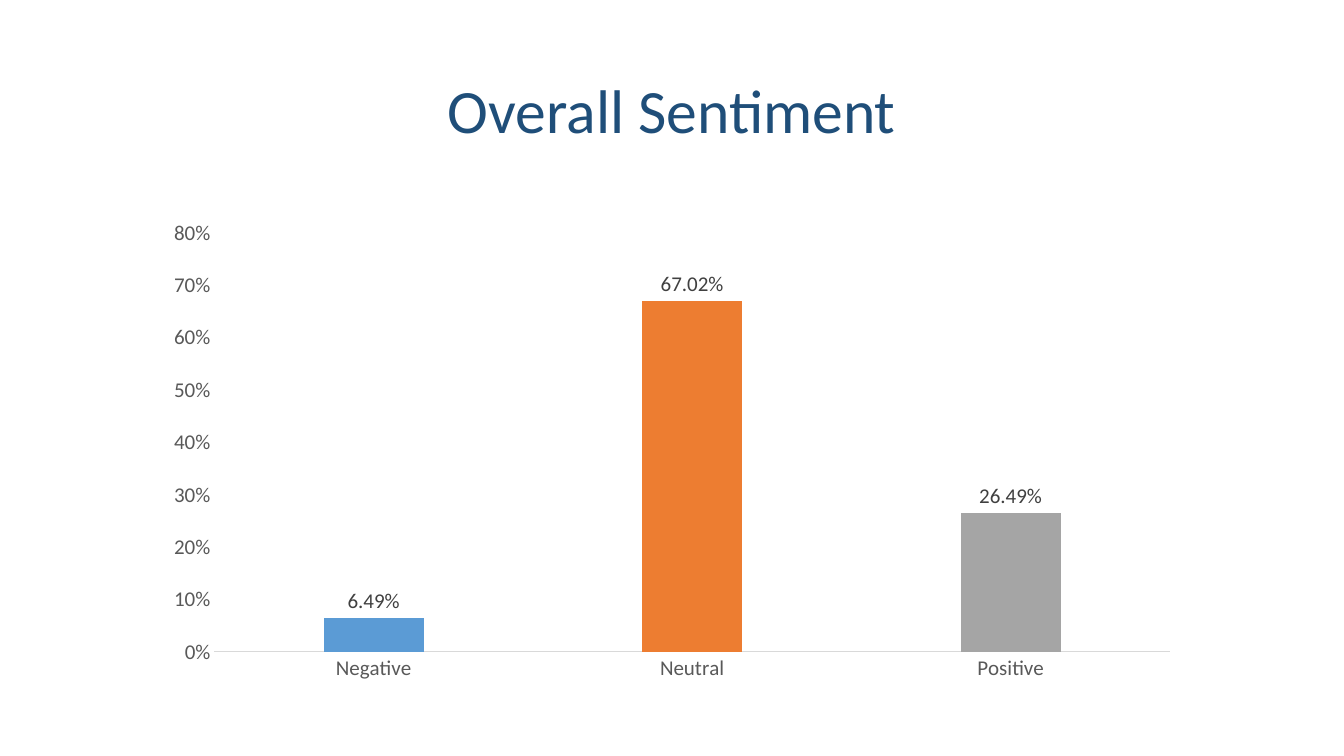
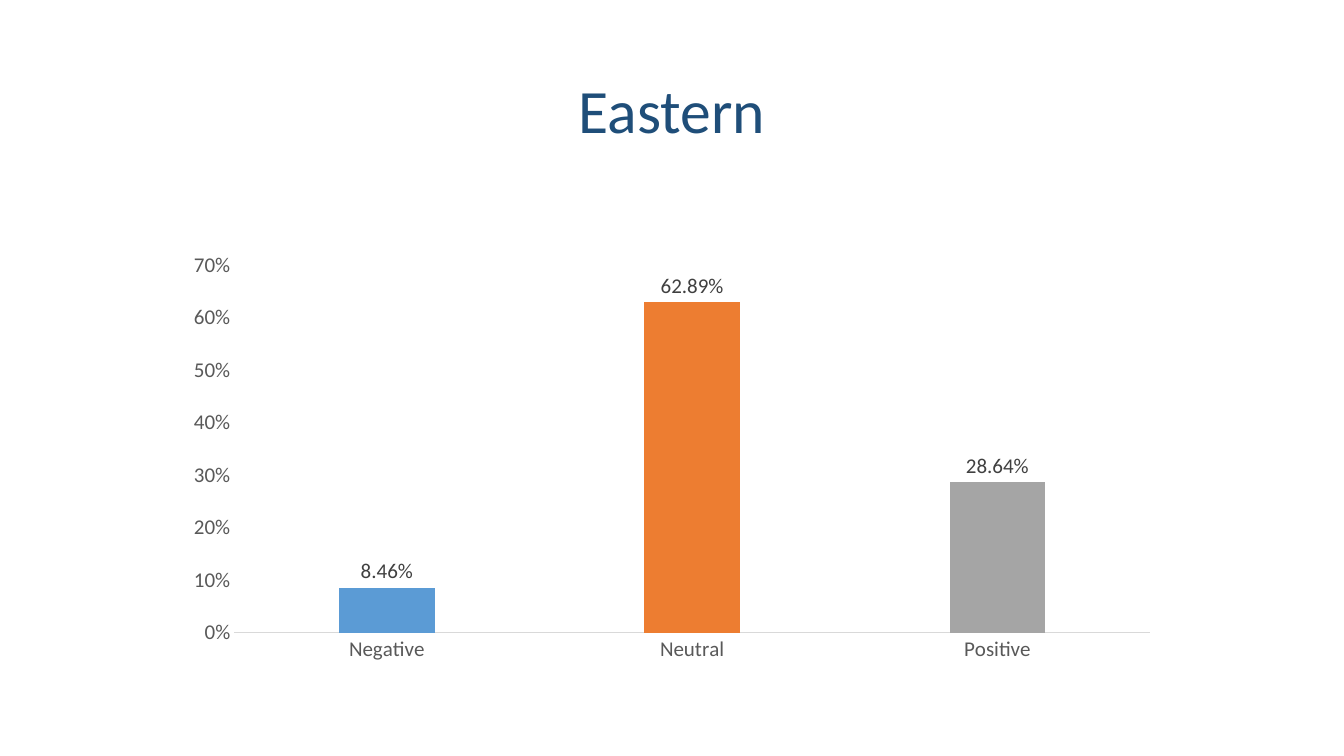
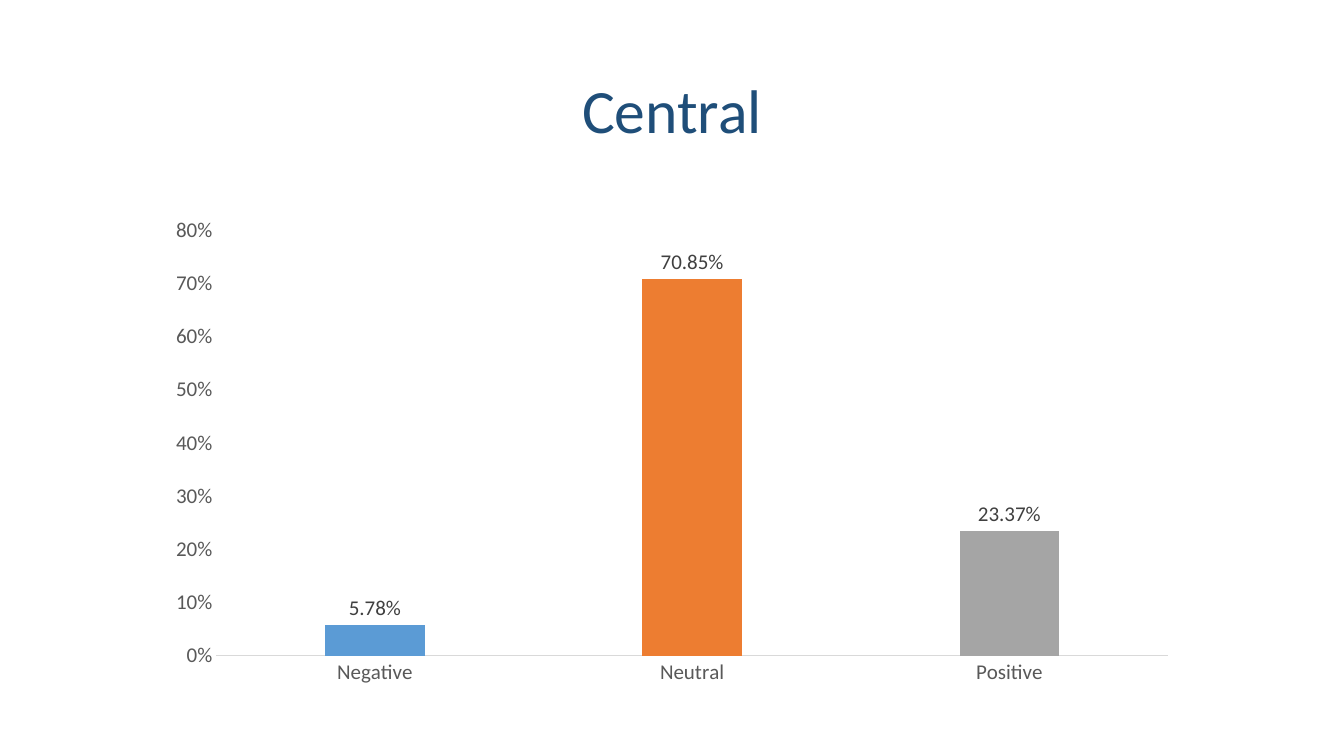
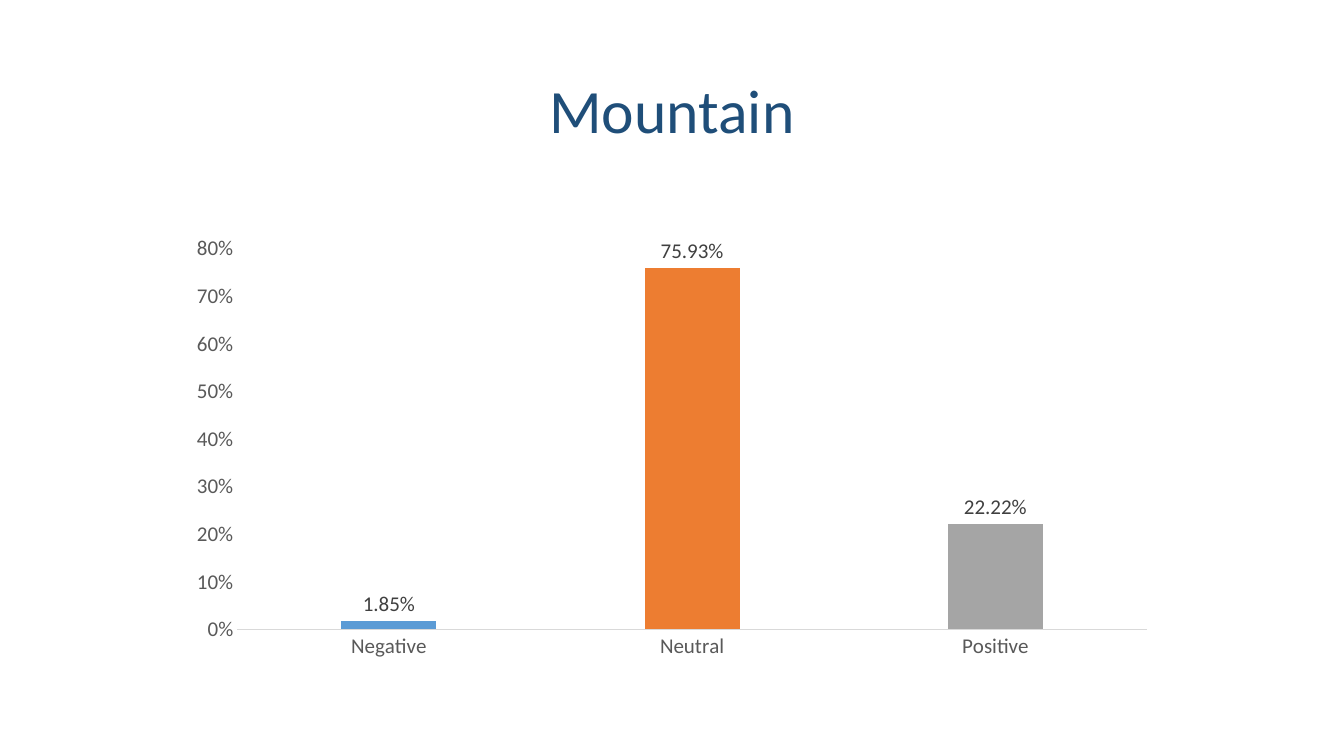
"""Four slides of sentiment shares, each a title above a column chart."""
from dataclasses import dataclass

from pptx import Presentation
from pptx.chart import data as chart_data
from pptx.dml import color
from pptx.enum import chart as chart_enum, text
from pptx.util import Cm, Pt


@dataclass(frozen=True)
class Theme:
    """Colours, font and type sizes shared by all slides."""
    font: str = "Calibri"
    title_size: int = 44
    chart_size: int = 10
    label_size: int = 15
    title: str = "1F4E79"
    chart: str = "000000"
    axis_text: str = "595959"
    value_text: str = "404040"
    axis_line: str = "D9D9D9"
    columns: tuple = ("5B9BD5", "ED7D31", "A5A5A5")


@dataclass(frozen=True)
class Box:
    """A rectangle on the slide, in centimetres."""
    left: float
    top: float
    width: float
    height: float

    def lengths(self):
        """Return left, top, width and height as slide lengths."""
        return [Cm(side) for side in (self.left, self.top, self.width, self.height)]


THEME = Theme()
SLIDE_WIDTH, SLIDE_HEIGHT = 33.87, 19.05
TITLE_BOX = Box(2.33, 1.01, 29.21, 3.68)
CATEGORIES = ("Negative", "Neutral", "Positive")

# Title, shares by category, then top, width and height of the centred chart
SENTIMENTS = (
    ("Overall Sentiment", (0.0649, 0.6702, 0.2649), (5.31, 26.14, 12.09)),
    ("Eastern", (0.0846, 0.6289, 0.2864), (6.15, 25.1, 10.74)),
    ("Central", (0.0578, 0.7085, 0.2337), (5.23, 26.04, 12.27)),
    ("Mountain", (0.0185, 0.7593, 0.2222), (5.72, 24.94, 11.1)),
)


def apply_format(target, values):
    """Set each attribute named in values on the target."""
    for name, value in values.items():
        setattr(target, name, value)


def style_font(font, size, colour):
    """Give a font the theme typeface, a size and a colour."""
    apply_format(font, {"name": THEME.font, "size": Pt(size)})
    font.color.rgb = color.RGBColor.from_string(colour)


def add_title(page, box, wording):
    """Write the centred title in its box."""
    frame = page.shapes.add_textbox(*box.lengths()).text_frame
    apply_format(frame, {"word_wrap": True, "vertical_anchor": text.MSO_ANCHOR.MIDDLE})
    para = frame.paragraphs[0]
    apply_format(para, {"alignment": text.PP_ALIGN.CENTER, "line_spacing": 0.9})
    span = para.add_run()
    span.text = wording
    style_font(span.font, THEME.title_size, THEME.title)


def style_axes(chart):
    """Remove grid and ticks, and keep only the category axis line."""
    for axis in (chart.category_axis, chart.value_axis):
        apply_format(axis, {
            "has_major_gridlines": False,
            "major_tick_mark": chart_enum.XL_TICK_MARK.NONE,
            "minor_tick_mark": chart_enum.XL_TICK_MARK.NONE,
        })
        style_font(axis.tick_labels.font, THEME.label_size, THEME.axis_text)
    baseline = chart.category_axis.format.line
    baseline.width = Pt(0.75)
    baseline.color.rgb = color.RGBColor.from_string(THEME.axis_line)
    chart.value_axis.format.line.fill.background()
    apply_format(chart.value_axis.tick_labels,
                 {"number_format": "0%", "number_format_is_linked": False})


def style_columns(plot):
    """Colour each column and show its share above it."""
    apply_format(plot, {"gap_width": 219, "overlap": -27,
                        "vary_by_categories": False, "has_data_labels": True})
    for index, colour in enumerate(THEME.columns):
        fill = plot.series[0].points[index].format.fill
        fill.solid()
        fill.fore_color.rgb = color.RGBColor.from_string(colour)
    labels = plot.data_labels
    apply_format(labels, {
        "show_value": True,
        "number_format": "0.00%",
        "number_format_is_linked": False,
        "position": chart_enum.XL_LABEL_POSITION.OUTSIDE_END,
    })
    style_font(labels.font, THEME.label_size, THEME.value_text)


def add_sentiment_chart(page, box, shares):
    """Draw the column chart of sentiment shares in its box."""
    table = chart_data.CategoryChartData(number_format="0.00%")
    table.categories = CATEGORIES
    table.add_series("Series 1", shares)
    chart = page.shapes.add_chart(
        chart_enum.XL_CHART_TYPE.COLUMN_CLUSTERED, *box.lengths(), table).chart
    apply_format(chart, {"has_legend": False, "has_title": False})
    style_font(chart.font, THEME.chart_size, THEME.chart)
    style_axes(chart)
    style_columns(chart.plots[0])


def add_sentiment_slide(deck, wording, shares, chart_place):
    """Add one slide with a title and a horizontally centred chart."""
    page = deck.slides.add_slide(deck.slide_layouts[6])
    top, width, height = chart_place
    add_title(page, TITLE_BOX, wording)
    chart_box = Box((SLIDE_WIDTH - width) / 2, top, width, height)
    add_sentiment_chart(page, chart_box, shares)


def main():
    """Build the deck and save it."""
    deck = Presentation()
    apply_format(deck, {"slide_width": Cm(SLIDE_WIDTH), "slide_height": Cm(SLIDE_HEIGHT)})
    for sentiment in SENTIMENTS:
        add_sentiment_slide(deck, *sentiment)
    deck.save("out.pptx")


main()
